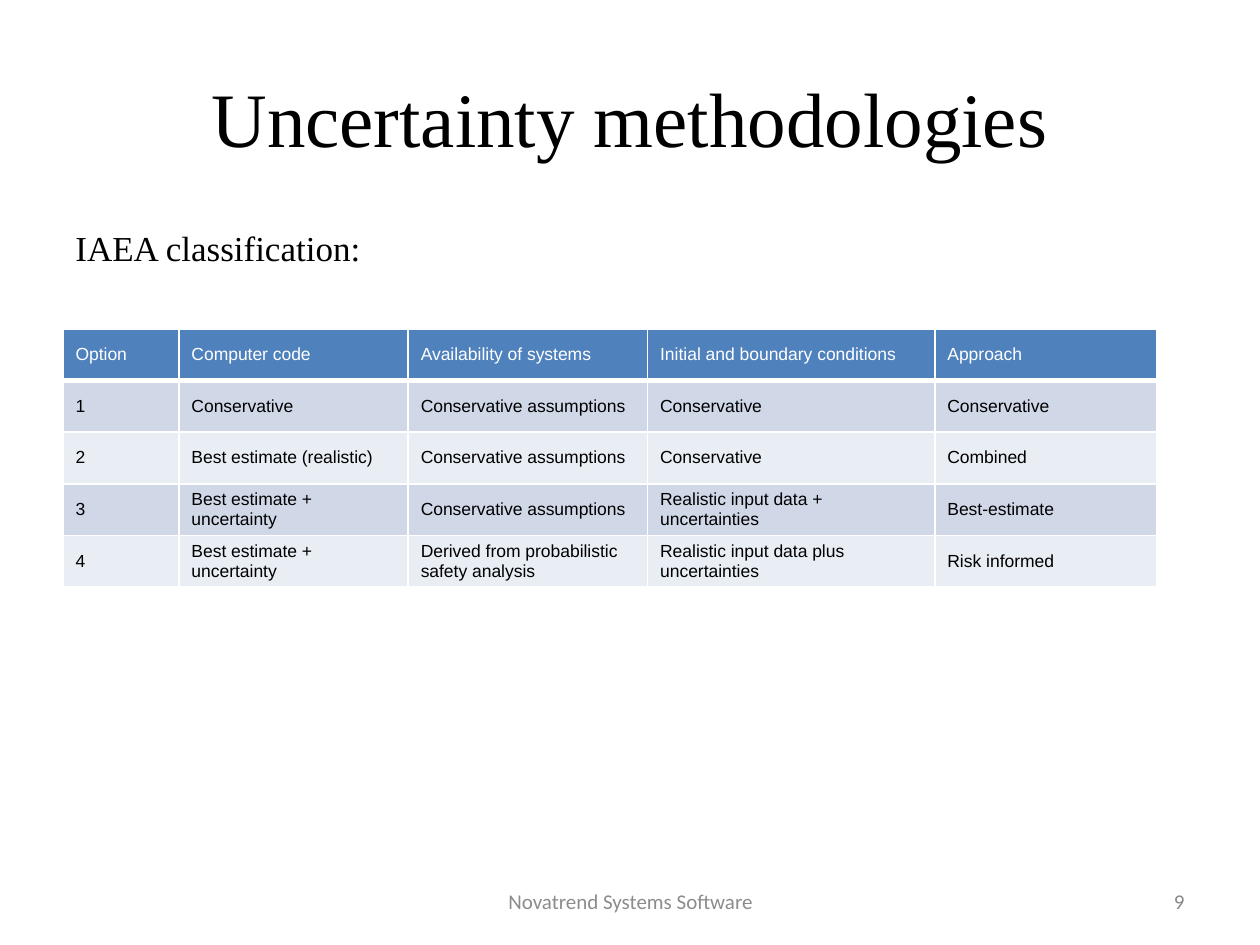
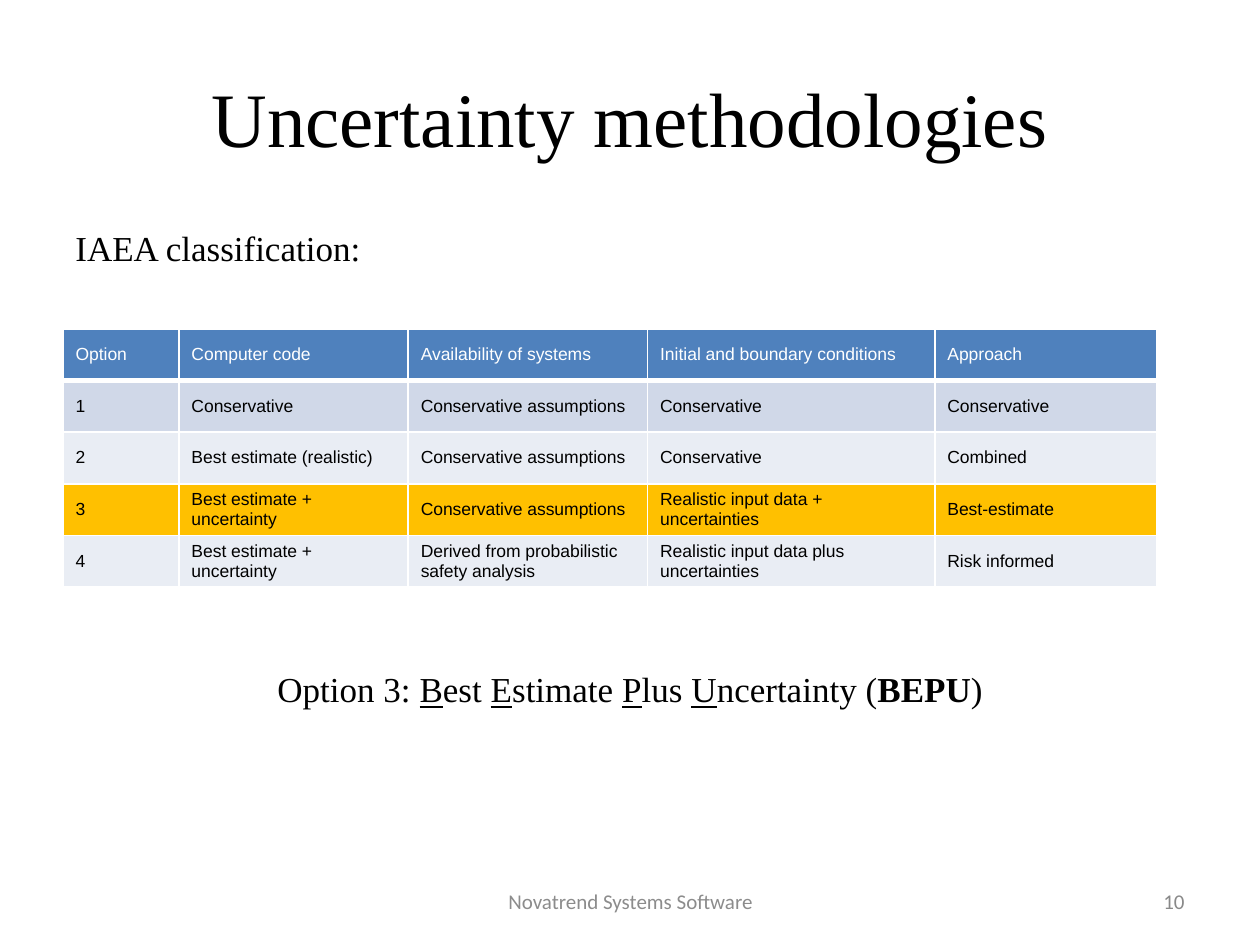
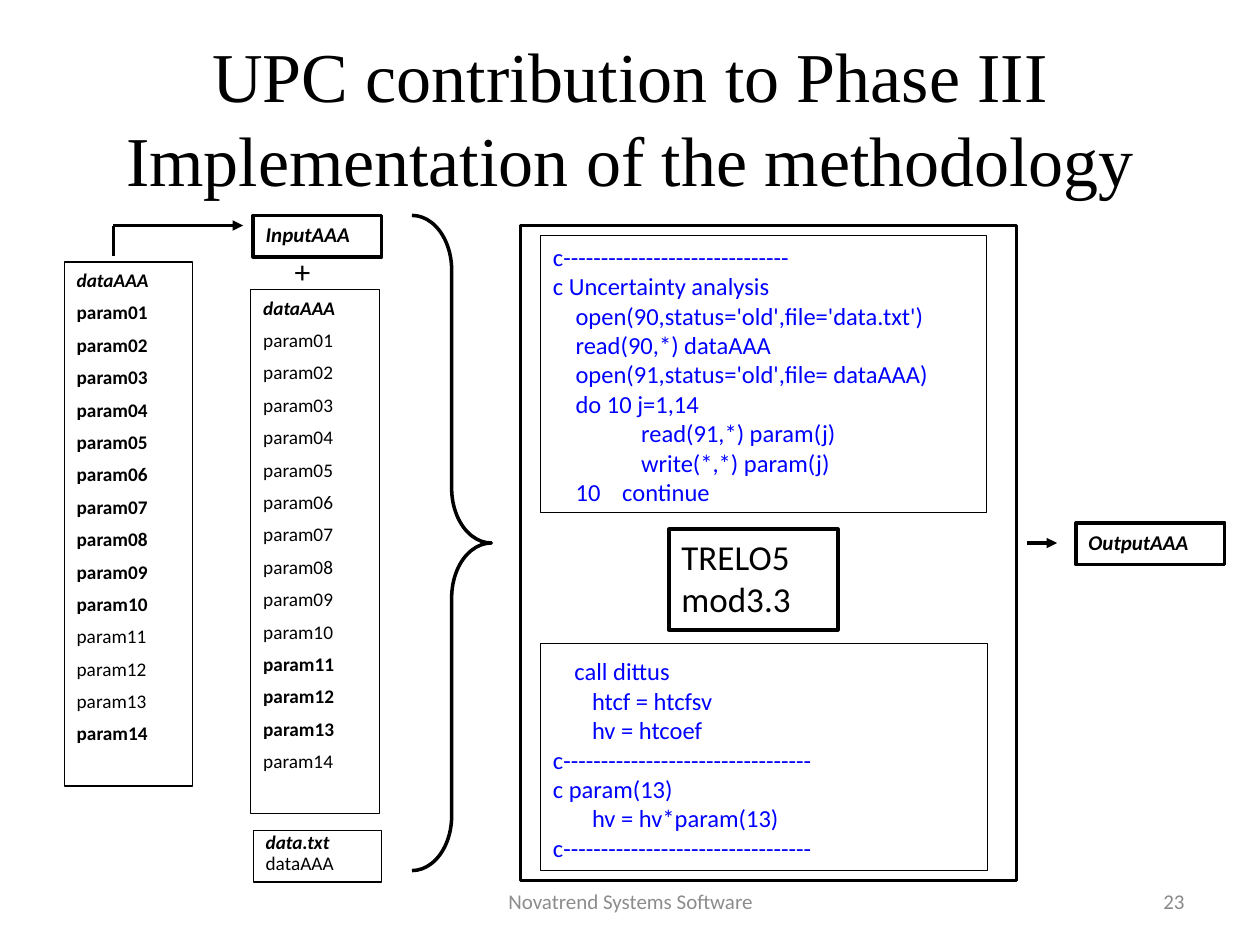
from collections import namedtuple

from lxml.etree import SubElement
from pptx import Presentation
from pptx.dml.color import RGBColor
from pptx.enum.shapes import MSO_CONNECTOR, MSO_SHAPE
from pptx.enum.text import MSO_ANCHOR, MSO_AUTO_SIZE, PP_ALIGN
from pptx.oxml.ns import qn
from pptx.util import Pt

PX = 9144  # EMU in one px, 100 px to the inch
BLACK, WHITE, BLUE = "000000", "FFFFFF", "0000FF"
HEADER, BAND_DARK, BAND_LIGHT, HIGHLIGHT = "4F81BD", "D0D8E8", "E9EDF4", "FFC000"
FOOTER_GREY, NUMBER_GREY = "8C8C8C", "898989"
SERIF, SANS, TABLE_FONT = "Times New Roman", "Calibri", "Arial"
FOOTER = "Novatrend Systems Software"
LIST_GAP = 5.3

Box = namedtuple("Box", "left top width height")
TITLE_BOX = Box(50, 30, 900, 125)
FOOTER_BOX = Box(342, 695, 317, 40)
NUMBER_BOX = Box(717, 695, 233, 40)
BODY_BOX = Box(50, 175, 900, 495)
DIAGRAM_BOX = Box(51, 171, 921, 529)

COLUMNS = [92, 182, 190, 228, 176]
ROW_HEIGHT = 41
OPTIONS = [
    ["Option", "Computer code", "Availability of systems",
     "Initial and boundary conditions", "Approach"],
    ["1", "Conservative", "Conservative assumptions", "Conservative", "Conservative"],
    ["2", "Best estimate (realistic)", "Conservative assumptions", "Conservative", "Combined"],
    ["3", "Best estimate + uncertainty", "Conservative assumptions",
     "Realistic input data + uncertainties", "Best-estimate"],
    ["4", "Best estimate + uncertainty", "Derived from probabilistic safety analysis",
     "Realistic input data plus uncertainties", "Risk informed"],
]
# Code lines: left edge of the line, hanging indent of the text after a tab, text
READ_CODE = [
    (0, 0, "c------------------------------"),
    (0, 0, "c Uncertainty analysis"),
    (18, 0, "open(90,status='old',file='data.txt')"),
    (18, 0, "read(90,*) dataAAA"),
    (18, 0, "open(91,status='old',file= dataAAA)"),
    (18, 0, "do 10 j=1,14"),
    (70, 0, "read(91,*) param(j)"),
    (70, 0, "write(*,*) param(j)"),
    (18, 37, "10\tcontinue"),
]
CALL_CODE = [
    (17, 0, "call dittus"),
    (31, 0, "htcf = htcfsv"),
    (31, 0, "hv = htcoef"),
    (0, 0, "c---------------------------------"),
    (0, 0, "c param(13)"),
    (31, 0, "hv = hv*param(13)"),
    (0, 0, "c---------------------------------"),
]


def color(value):
    return RGBColor.from_string(value)


def emu(*lengths):
    return [length * PX for length in lengths]


def within(outer, left, top, width, height):
    """Box whose left and top are counted from the corner of outer."""
    return Box(outer.left + left, outer.top + top, width, height)


def add_span(para, text, size, font, fill=BLACK, bold=False, italic=False, underline=False):
    span = para.add_run()
    span.text = text
    style = span.font
    style.size, style.name = Pt(size), font
    style.bold, style.italic, style.underline = bold, italic, underline
    style.color.rgb = color(fill)


def next_para(frame, first, gap=0):
    para = frame.paragraphs[0] if first else frame.add_paragraph()
    para.alignment = PP_ALIGN.LEFT
    para.space_before = Pt(0 if first else gap)
    return para


def setup_frame(frame, anchor=MSO_ANCHOR.TOP, top_inset=5):
    frame.word_wrap = True
    frame.auto_size = MSO_AUTO_SIZE.NONE
    frame.vertical_anchor = anchor
    frame.margin_left, frame.margin_right = emu(10, 10)
    frame.margin_top, frame.margin_bottom = emu(top_inset, 5)
    return frame


def add_text(page, box, spans, size, font, fill=BLACK,
             align=PP_ALIGN.LEFT, anchor=MSO_ANCHOR.TOP):
    """One-paragraph text box; spans are (text, style) pairs."""
    frame = setup_frame(page.shapes.add_textbox(*emu(*box)).text_frame, anchor)
    para = next_para(frame, True)
    para.alignment = align
    for text, style in spans:
        add_span(para, text, size, font, fill, **style)


def add_outline(page, box, weight, kind=MSO_SHAPE.RECTANGLE):
    shape = page.shapes.add_shape(kind, *emu(*box))
    shape.shadow.inherit = False
    shape.fill.background()
    shape.line.color.rgb = color(BLACK)
    shape.line.width = Pt(weight)
    return shape


def add_line(page, origin, start, end, arrow=False):
    points = [origin.left + start[0], origin.top + start[1],
              origin.left + end[0], origin.top + end[1]]
    line = page.shapes.add_connector(MSO_CONNECTOR.STRAIGHT, *emu(*points))
    line.line.color.rgb = color(BLACK)
    line.line.width = Pt(2)
    if arrow:
        SubElement(line.line._get_or_add_ln(), qn("a:tailEnd"), type="triangle")
    SubElement(line._element.spPr, qn("a:effectLst"))


def add_page(deck, title_lines, title_size, number):
    page = deck.slides.add_slide(deck.slide_layouts[5])
    title = page.shapes.title
    title.left, title.top, title.width, title.height = emu(*TITLE_BOX)
    para = setup_frame(title.text_frame, MSO_ANCHOR.MIDDLE).paragraphs[0]
    para.alignment = PP_ALIGN.CENTER
    for index, line in enumerate(title_lines):
        if index:
            para.add_line_break()
        add_span(para, line, title_size, SERIF)
    add_text(page, FOOTER_BOX, [(FOOTER, {})], 12, SANS, FOOTER_GREY,
             PP_ALIGN.CENTER, MSO_ANCHOR.MIDDLE)
    add_text(page, NUMBER_BOX, [(str(number), {})], 12, SANS, NUMBER_GREY,
             PP_ALIGN.RIGHT, MSO_ANCHOR.MIDDLE)
    return page


def set_borders(cell, bottom):
    properties = cell._tc.get_or_add_tcPr()
    for index, (side, weight) in enumerate(zip("LRTB", (1, 1, 1, bottom))):
        border = SubElement(properties, qn(f"a:ln{side}"), w=str(Pt(weight)))
        fill = SubElement(border, qn("a:solidFill"))
        SubElement(fill, qn("a:srgbClr"), val=WHITE)
        properties.insert(index, border)


def add_options_table(page, box, highlighted):
    table = page.shapes.add_table(len(OPTIONS), len(COLUMNS), *emu(*box)).table
    for column, width in zip(table.columns, COLUMNS):
        column.width = width * PX
    for number, texts in enumerate(OPTIONS):
        table.rows[number].height = ROW_HEIGHT * PX
        if number == 0:
            fill = HEADER
        elif number == highlighted:
            fill = HIGHLIGHT
        else:
            fill = BAND_DARK if number % 2 else BAND_LIGHT
        for column, text in enumerate(texts):
            cell = table.cell(number, column)
            cell.fill.solid()
            cell.fill.fore_color.rgb = color(fill)
            cell.vertical_anchor = MSO_ANCHOR.MIDDLE
            cell.margin_left, cell.margin_right = emu(10, 10)
            cell.margin_top, cell.margin_bottom = emu(5, 5)
            add_span(cell.text_frame.paragraphs[0], text, 10, TABLE_FONT,
                     BLACK if number else WHITE)
            set_borders(cell, 1 if number else 3)


def options_body(page, box, highlighted=None):
    add_text(page, within(box, 0, 0, box.width, 45), [("IAEA classification:", {})], 20, SERIF)
    add_options_table(page, within(box, 0, 86, sum(COLUMNS), ROW_HEIGHT * len(OPTIONS)),
                      highlighted)
    if highlighted is None:
        return
    spans = [(f"Option {highlighted}: ", {})]
    for initial, rest in (("B", "est "), ("E", "stimate "), ("P", "lus "), ("U", "ncertainty (")):
        spans += [(initial, {"underline": True}), (rest, {})]
    spans += [("BEPU", {"bold": True}), (")", {})]
    add_text(page, within(box, 0, 350, box.width, 45), spans, 20, SERIF, align=PP_ALIGN.CENTER)


def parameter_list(page, box, bold_numbers):
    frame = setup_frame(add_outline(page, box, 0.75).text_frame)
    add_span(next_para(frame, True), "dataAAA", 11, SANS, bold=True, italic=True)
    for number in range(1, 15):
        add_span(next_para(frame, False, LIST_GAP), f"param{number:02}", 11, SANS,
                 bold=number in bold_numbers)


def label_box(page, box, text, size=12, emphasis=True):
    frame = setup_frame(add_outline(page, box, 2).text_frame)
    add_span(next_para(frame, True), text, size, SANS, bold=emphasis, italic=emphasis)


def data_file_box(page, box):
    frame = setup_frame(add_outline(page, box, 0.75).text_frame, top_inset=8)
    for text, emphasis in (("data.txt", True), ("dataAAA", False)):
        para = next_para(frame, emphasis, LIST_GAP)
        para.line_spacing = 0.5
        add_span(para, text, 11, SANS, bold=emphasis, italic=emphasis)


def code_box(page, box, lines, top_inset=5):
    frame = setup_frame(add_outline(page, box, 0.5).text_frame, top_inset=top_inset)
    for index, (indent, hanging, text) in enumerate(lines):
        para = next_para(frame, index == 0)
        properties = para._p.get_or_add_pPr()
        properties.set("marL", str((indent + hanging) * PX))
        properties.set("indent", str(-hanging * PX))
        add_span(para, text, 14, SANS, BLUE)


def methodology_diagram(page, box):
    parameter_list(page, within(box, 0, 37, 102, 416), {*range(1, 11), 14})
    label_box(page, within(box, 150, 0, 102, 33), "InputAAA")
    label_box(page, within(box, 480, 249, 134, 80), "TRELO5 mod3.3", 20, False)
    label_box(page, within(box, 803, 244, 118, 33), "OutputAAA")
    code_box(page, within(box, 378, 16, 354, 220), READ_CODE)
    code_box(page, within(box, 378, 340, 355, 180), CALL_CODE, top_inset=10)
    add_text(page, within(box, 173, 24, 47, 40), [("+", {})], 18, SANS)
    add_line(page, box, (39, 32), (39, 8))
    add_line(page, box, (39, 8), (142, 8), arrow=True)
    brace = add_outline(page, within(box, 276, 0, 63, 520), 2, MSO_SHAPE.RIGHT_BRACE)
    brace.adjustments[0] = 0.69
    add_outline(page, within(box, 362, 8, 394, 520), 2)
    add_line(page, box, (764, 260), (788, 260), arrow=True)
    parameter_list(page, within(box, 148, 59, 102, 416), {11, 12, 13})
    data_file_box(page, within(box, 150, 488, 102, 41))


def main():
    deck = Presentation()
    deck.slide_width, deck.slide_height = emu(1000, 750)
    for number, highlighted in ((9, None), (10, 3)):
        page = add_page(deck, ["Uncertainty methodologies"], 44, number)
        options_body(page, BODY_BOX, highlighted)
    title = ["UPC contribution to Phase III", "Implementation of the methodology"]
    methodology_diagram(add_page(deck, title, 40, 23), DIAGRAM_BOX)
    deck.save("out.pptx")


if __name__ == "__main__":
    main()
